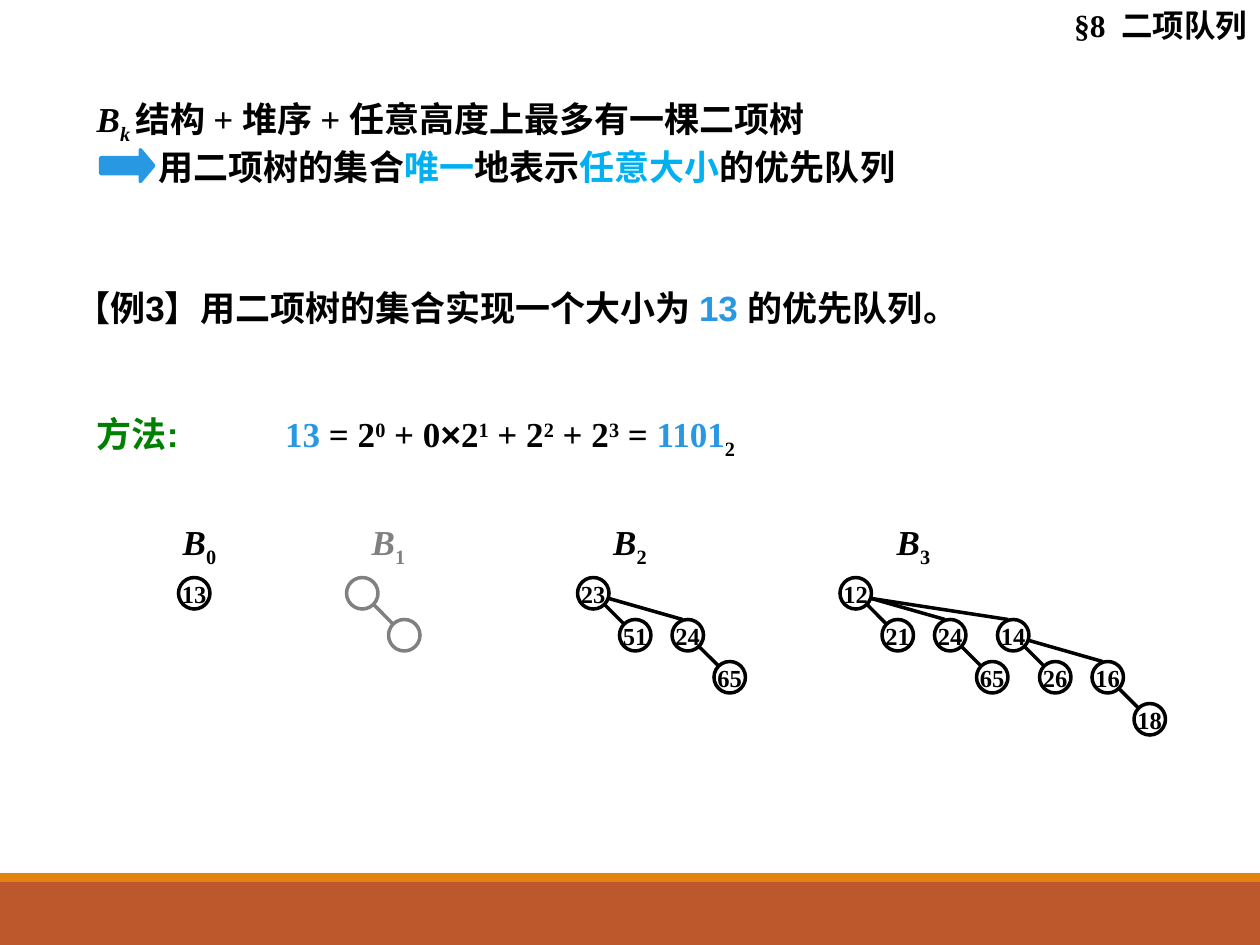
from dataclasses import dataclass

from lxml.etree import SubElement
from pptx import Presentation
from pptx.dml.color import RGBColor
from pptx.enum.shapes import MSO_CONNECTOR, MSO_SHAPE
from pptx.enum.text import MSO_ANCHOR, MSO_AUTO_SIZE, PP_ALIGN
from pptx.oxml.ns import qn
from pptx.util import Cm, Pt


@dataclass(frozen=True)
class Theme:
    black: str = "000000"
    white: str = "FFFFFF"
    blue: str = "2998E3"
    sky: str = "00B0F0"
    green: str = "008000"
    rust: str = "BD582C"
    orange: str = "E48312"
    serif: str = "Times New Roman"
    sans: str = "Arial"
    title: int = 18
    body: int = 20
    node: int = 14
    line: int = 2


T = Theme()
GRID = 2.54 / 12
NODE = 3
STEP = 4

TREES = [
    ((15, 49), "0", (17, 55), ("13", [])),
    ((33, 49), "1", (33, 55), ("", [(4, "", [])])),
    ((56, 49), "2", (55, 55), ("23", [(4, "51", []), (9, "24", [(4, "65", [])])])),
    ((83, 49), "3", (80, 55), ("12", [
        (4, "21", []),
        (9, "24", [(4, "65", [])]),
        (15, "14", [(4, "26", []), (9, "16", [(4, "18", [])])]),
    ])),
]


def rgb(color):
    return RGBColor.from_string(color)


def grid(*units):
    return [Cm(u * GRID) for u in units]


def add_runs(p, runs, size=T.body, name=T.serif):
    for text, fmt in runs:
        r = p.add_run()
        r.text = text
        fmt = {"size": Pt(size), "name": name, "bold": True, "color": T.black} | fmt
        r.font.color.rgb = rgb(fmt.pop("color"))
        for key in ("baseline", "spc"):
            if key in fmt:
                r.font._element.set(key, str(fmt.pop(key)))
        for key, value in fmt.items():
            setattr(r.font, key, value)


def add_text(s, box, paragraphs, align=PP_ALIGN.LEFT, name=T.serif):
    tf = s.shapes.add_textbox(*box).text_frame
    tf.word_wrap = True
    for i, runs in enumerate(paragraphs):
        p = tf.add_paragraph() if i else tf.paragraphs[0]
        p.alignment = align
        add_runs(p, runs, name=name)
    return tf


def add_shape(s, kind, box, fill=None, line=None):
    sp = s.shapes.add_shape(kind, *box)
    sp.shadow.inherit = False
    if fill:
        sp.fill.solid()
        sp.fill.fore_color.rgb = rgb(fill)
    else:
        sp.fill.background()
    if line:
        sp.line.color.rgb = rgb(line)
        sp.line.width = Pt(T.line)
    else:
        sp.line.fill.background()
    return sp


def add_title(s):
    sp = s.shapes.title
    sp.left, sp.top, sp.width, sp.height = Cm(18.85), Cm(0), Cm(6.55), Cm(1.02)
    tf = sp.text_frame
    for key, value in {"auto_size": MSO_AUTO_SIZE.NONE, "word_wrap": True,
                       "vertical_anchor": MSO_ANCHOR.TOP}.items():
        setattr(tf, key, value)
    p = tf.paragraphs[0]
    p.alignment = PP_ALIGN.RIGHT
    add_runs(p, [("§8", {}), (" ", {"spc": 450}), ("二项队列", {})], T.title)


def add_node(s, x, y, key):
    sp = add_shape(s, MSO_SHAPE.OVAL, grid(x, y, NODE, NODE), line=T.black)
    if key:
        tf = sp.text_frame
        tf.word_wrap = False
        tf.vertical_anchor = MSO_ANCHOR.MIDDLE
        p = tf.paragraphs[0]
        p.alignment = PP_ALIGN.CENTER
        add_runs(p, [(key, {})], T.node)


def add_edge(s, x, y, dx):
    if dx == STEP:
        ends = (x + 2.5, y + 2.5, x + dx + 0.5, y + STEP + 0.5)
    else:
        ends = (x + 3, y + 2, x + dx + 1, y + STEP)
    c = s.shapes.add_connector(MSO_CONNECTOR.STRAIGHT, *grid(*ends))
    c.line.color.rgb = rgb(T.black)
    c.line.width = Pt(T.line)
    SubElement(c._element.spPr, qn("a:effectLst"))


def add_tree(s, x, y, key, children):
    add_node(s, x, y, key)
    for dx, child, grandchildren in children:
        add_tree(s, x + dx, y + STEP, child, grandchildren)
        add_edge(s, x, y, dx)


def add_veil(s, box):
    sp = add_shape(s, MSO_SHAPE.RECTANGLE, box, T.white)
    color = sp._element.spPr.find(qn("a:solidFill"))[0]
    SubElement(color, qn("a:alpha")).set("val", "50000")


def add_statement(s):
    tf = add_text(s, (Cm(1.7), Cm(1.85), Cm(21.4), Cm(2.08)), [
        [("B", {"italic": True}), ("k ", {"italic": True, "baseline": -25000}),
         ("结构 + 堆序 + 任意高度上最多有一棵二项树", {})],
        [("用二项树的集合", {}), ("唯一", {"color": T.sky}), ("地表示", {}),
         ("任意大小", {"color": T.sky}), ("的优先队列", {})],
    ])
    tf.paragraphs[1]._p.get_or_add_pPr().set("marL", str(Cm(1.25)))
    box = (Cm(2.03), Cm(3.02), Cm(1.07), Cm(0.64))
    arrow = add_shape(s, MSO_SHAPE.RIGHT_ARROW, box, T.blue, T.blue)
    arrow.adjustments[1] = 0.42


def add_method(s):
    add_text(s, (Cm(1.7), Cm(8.2), Cm(4.24), Cm(1.12)),
             [[("方法:", {"color": T.green})]], name=T.sans)
    blue, sup, sub = {"color": T.blue}, {"baseline": 30000}, {"baseline": -25000}
    add_text(s, (Cm(5.5), Cm(8.2), Cm(11.64), Cm(1.22)), [[
        ("13", blue), (" = 2", {}), ("0", sup), (" + 0", {}), ("×", {"name": T.sans}),
        ("2", {}), ("1", sup), (" + 2", {}), ("2", sup), (" + 2", {}), ("3", sup),
        (" = ", {}), ("1101", blue), ("2", sub),
    ]])


def main():
    prs = Presentation()
    prs.slide_width, prs.slide_height = Cm(25.4), Cm(19.05)
    s = prs.slides.add_slide(prs.slide_layouts[5])
    for top, height, color in ((17.78, 1.27, T.rust), (17.6, 0.18, T.orange)):
        add_shape(s, MSO_SHAPE.RECTANGLE, (Cm(0), Cm(top), Cm(25.4), Cm(height)), color)
    add_title(s)
    add_text(s, (Cm(1.27), Cm(5.66), Cm(22.86), Cm(1.12)), [[
        ("【例3】用二项树的集合实现一个大小为 ", {}), ("13 ", {"color": T.blue}),
        ("的优先队列。", {}),
    ]], name=T.sans)
    add_statement(s)
    add_method(s)
    for label, order, root, tree in TREES:
        add_text(s, grid(*label, 8, 5.75),
                 [[("B", {"italic": True}), (order, {"baseline": -25000})]],
                 PP_ALIGN.CENTER)
        add_tree(s, *root, *tree)
    add_veil(s, grid(30, 49, 14, 14))
    prs.save("out.pptx")


if __name__ == "__main__":
    main()
